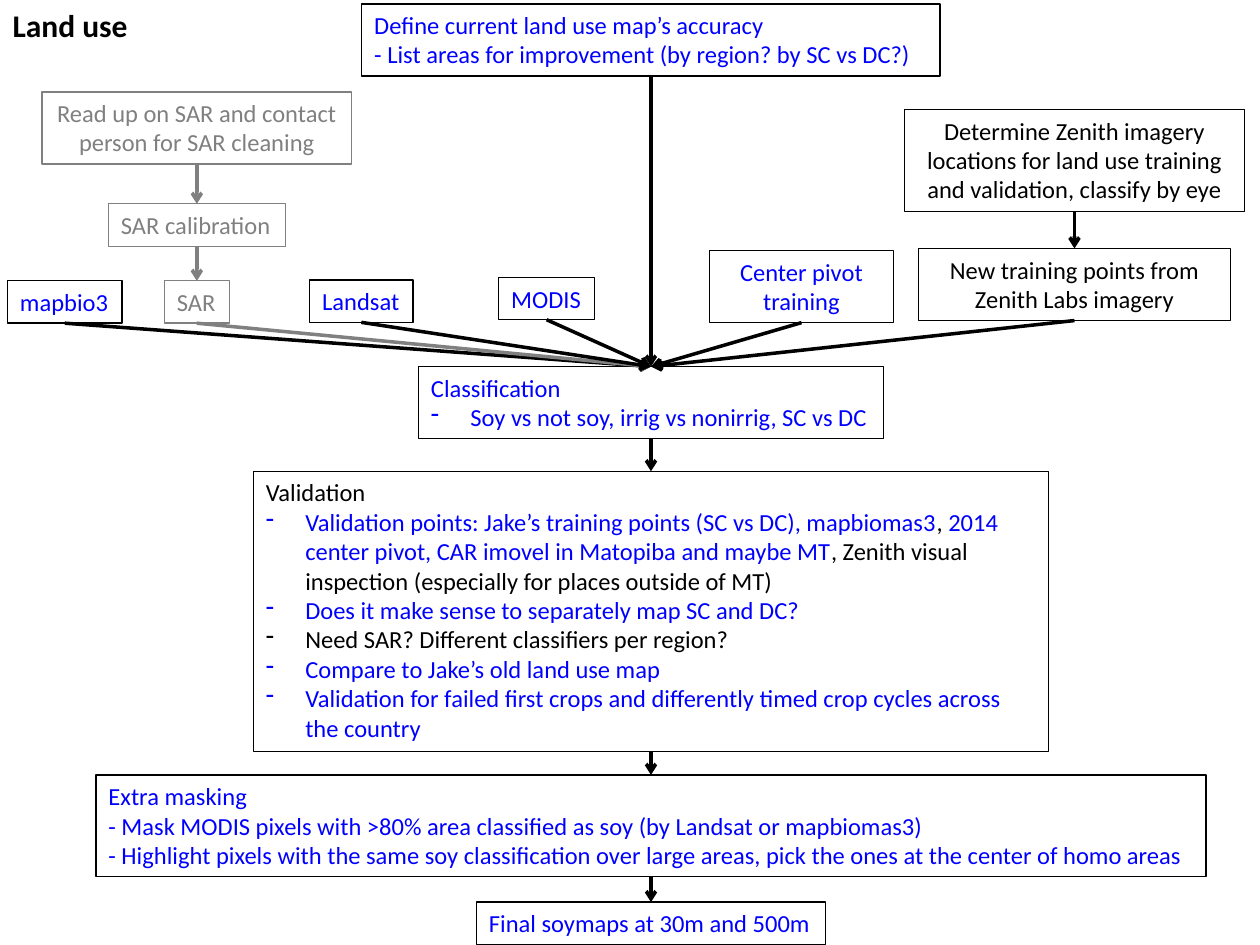
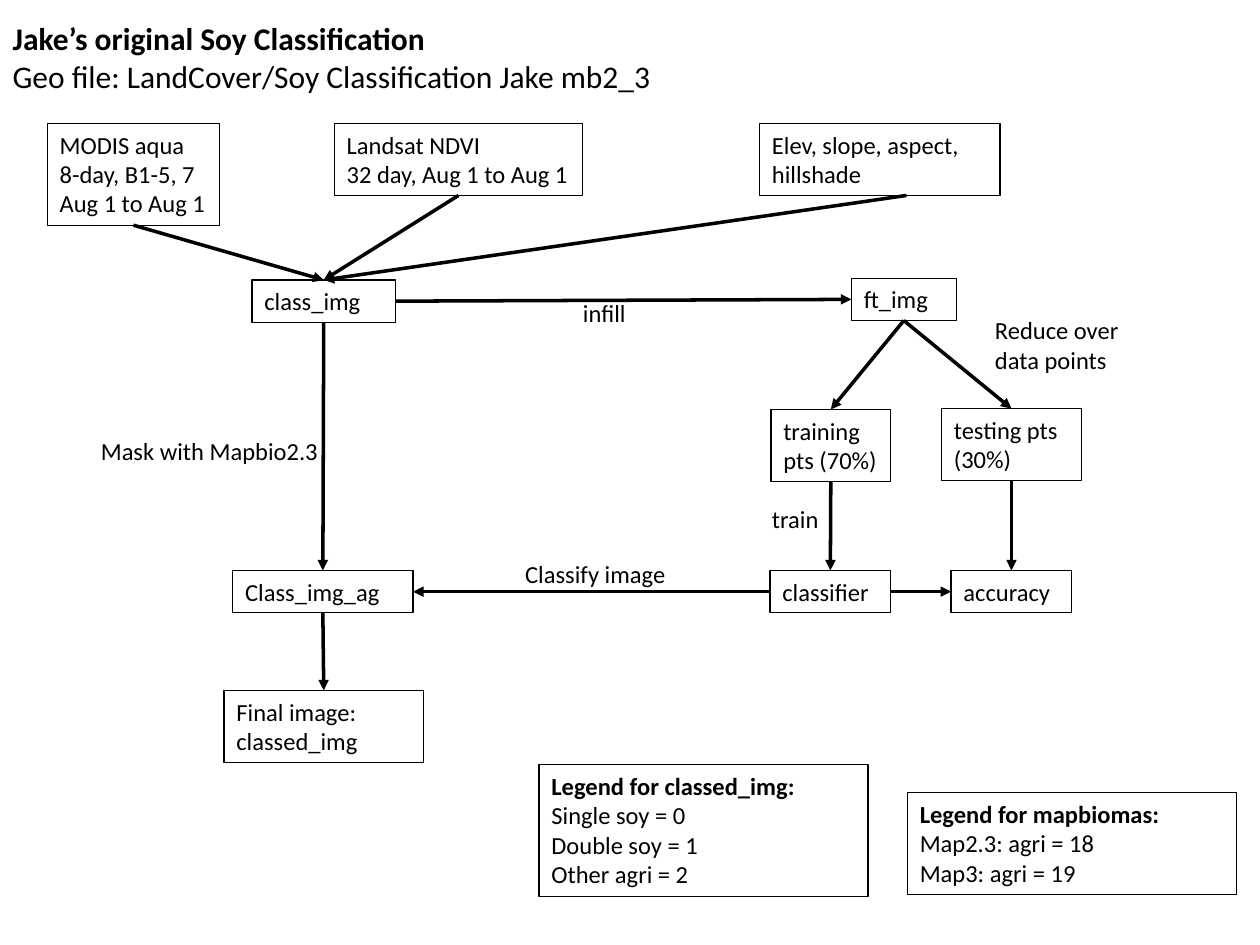
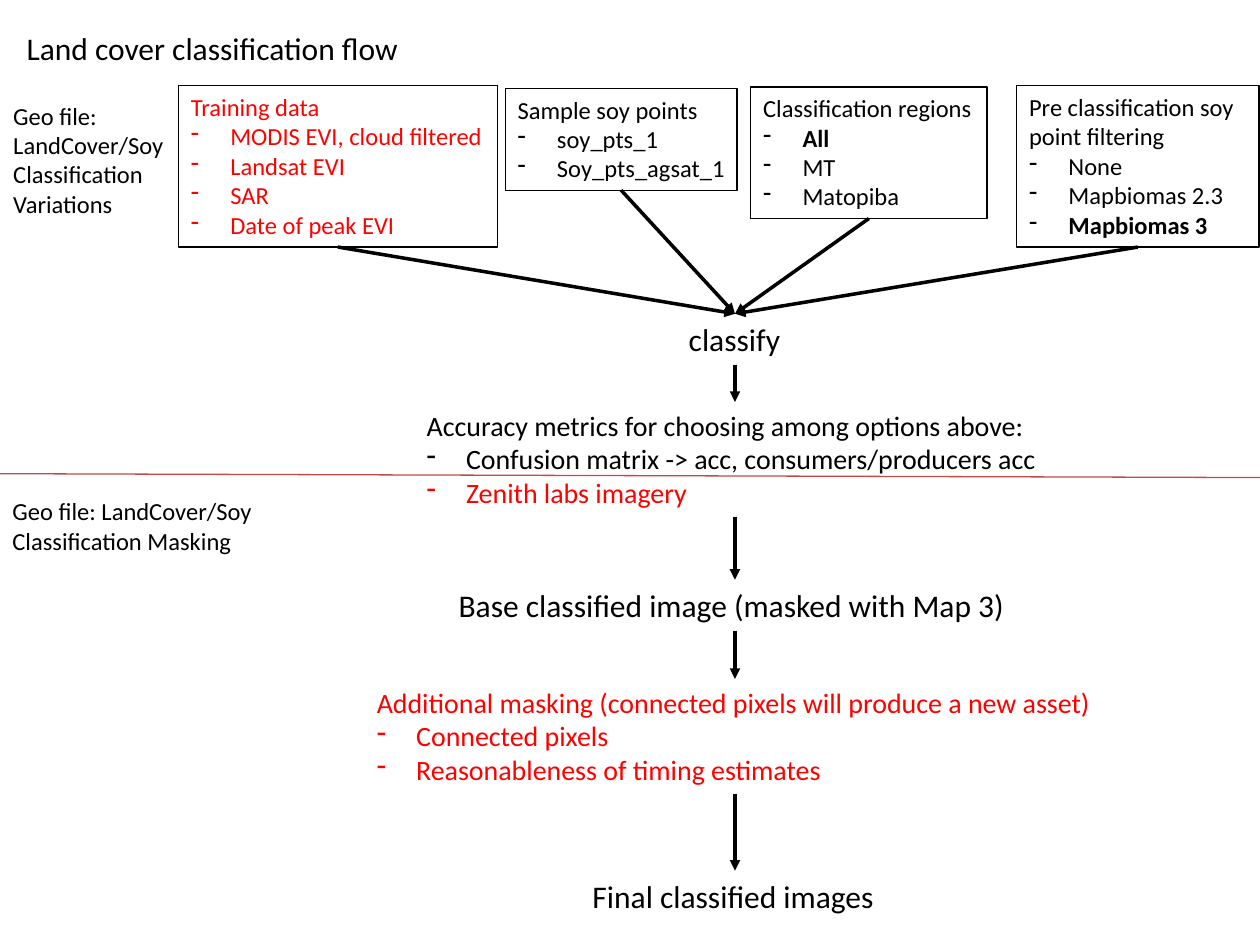
from dataclasses import dataclass

from pptx import Presentation
from pptx.dml.color import RGBColor as Rgb
from pptx.enum.shapes import MSO_CONNECTOR as Wire, MSO_SHAPE as Form
from pptx.enum.text import MSO_ANCHOR as Anchor, MSO_AUTO_SIZE as Fit, PP_ALIGN as Align
from pptx.oxml.ns import qn
from pptx.util import Pt
from lxml.etree import SubElement as Sub


@dataclass(frozen=True)
class Theme:
    font: str = "Calibri"
    ink: str = "000000"
    gray: str = "808080"
    blue: str = "0000FF"
    red: str = "FF0000"
    rule: str = "BF4C48"
    head: int = 18
    mid: int = 16
    base: int = 14
    line: float = 1.214
    pad: float = 7.2
    dent: float = 22.5
    thin: float = 0.75
    thick: float = 2


@dataclass(frozen=True)
class Box:
    left: float
    top: float
    width: float
    height: float


@dataclass(frozen=True)
class Para:
    runs: tuple
    dash: bool = False


T = Theme()
PAGE = Box(0, 0, 720, 540)
TOP, LEFT, LOW, RIGHT = range(4)


def dash(*runs):
    return Para(runs, True)


def bold(text):
    return (text, None, True)


def fill(frame, paras, tone, size, align):
    """Write paragraphs of plain or (text, colour, bold) runs."""
    for i, item in enumerate(paras):
        item = item if isinstance(item, Para) else Para((item,))
        para = frame.paragraphs[0] if i == 0 else frame.add_paragraph()
        if item.dash:
            props = para._p.get_or_add_pPr()
            props.set("marL", str(Pt(T.dent)))
            props.set("indent", str(-Pt(T.dent)))
            Sub(props, qn("a:buFontTx"))
            Sub(props, qn("a:buChar")).set("char", "-")
        para.alignment = align
        for part in item.runs:
            text, color, strong = part if isinstance(part, tuple) else (part, None, False)
            run = para.add_run()
            run.text = text
            run.font.name = T.font
            run.font.size = Pt(size)
            run.font.bold = strong
            run.font.color.rgb = Rgb.from_string(color or tone)


def setup(frame, gap):
    frame.word_wrap = True
    frame.auto_size = Fit.NONE
    frame.vertical_anchor = Anchor.TOP
    frame.margin_left, frame.margin_right = Pt(T.pad), Pt(gap)
    frame.margin_top = frame.margin_bottom = Pt(T.pad / 2)


class Pen:
    """Draws on a slide, relative to the given area."""

    def __init__(self, slide, area, head="triangle"):
        self.slide, self.area, self.head = slide, area, head

    def spot(self, x, y):
        return Pt(self.area.left + x), Pt(self.area.top + y)

    def title(self, x, y, width, paras):
        shape = self.slide.shapes.title
        shape.left, shape.top = self.spot(x, y)
        shape.width = Pt(width)
        shape.height = Pt(len(paras) * T.head * T.line + T.pad)
        setup(shape.text_frame, 0)
        fill(shape.text_frame, paras, T.ink, T.head, Align.LEFT)

    def put(self, x, y, width, paras, rows=None, tone=T.ink, size=T.base,
            frame=True, center=False, gap=0):
        high = (rows or len(paras)) * size * T.line + T.pad
        rect = (*self.spot(x, y), Pt(width), Pt(high))
        if frame:
            shape = self.slide.shapes.add_shape(Form.RECTANGLE, *rect)
            shape.shadow.inherit = False
            shape.fill.background()
            shape.line.width = Pt(T.thin)
            shape.line.color.rgb = Rgb.from_string(T.gray if tone == T.gray else T.ink)
        else:
            shape = self.slide.shapes.add_textbox(*rect)
        setup(shape.text_frame, T.pad if center else gap)
        fill(shape.text_frame, paras, tone, size, Align.CENTER if center else Align.LEFT)
        return shape

    def note(self, x, y, width, text, rows=1):
        return self.put(x, y, width, [text], rows, frame=False)

    def step(self, axis, y, width, paras, **look):
        return self.put(axis - width / 2, y, width, paras, **look)

    def line(self, start, end, tone=T.ink, width=T.thick, head=True):
        wire = self.slide.shapes.add_connector(
            Wire.STRAIGHT, *self.spot(*start), *self.spot(*end))
        wire.line.width = Pt(width)
        wire.line.color.rgb = Rgb.from_string(tone)
        if head:
            Sub(wire.line._get_or_add_ln(), qn("a:tailEnd")).set("type", self.head)
        Sub(wire._element.spPr, qn("a:effectLst"))
        return wire

    def link(self, a, b, out=LOW, into=TOP, tone=T.ink):
        wire = self.line((0, 0), (0, 0), tone)
        wire.begin_connect(a, out)
        wire.end_connect(b, into)

    def chain(self, *shapes, tone=T.ink):
        for a, b in zip(shapes, shapes[1:]):
            self.link(a, b, tone=tone)


# Land use: main column of steps
def use_steps(pen):
    steps = [
        (2.2, 330.5, ["Define current land use map’s accuracy",
                      "- List areas for improvement (by region? by SC vs DC?)"], {}),
        (209.5, 265.7, ["Classification",
                        dash("Soy vs not soy, irrig vs nonirrig, SC vs DC")], {}),
        (269.3, 454.3, [
            ("Validation", T.ink, False),
            dash("Validation points: Jake’s training points (SC vs DC), mapbiomas3",
                 (", ", T.ink, False),
                 "2014 center pivot, CAR imovel in Matopiba and maybe MT",
                 (", Zenith visual inspection (especially for places outside of MT)",
                  T.ink, False)),
            dash("Does it make sense to separately map SC and DC?"),
            dash(("Need SAR? Different classifiers per region?", T.ink, False)),
            dash("Compare to Jake’s old land use map"),
            dash("Validation for failed first crops and differently timed crop cycles "
                 "across the country"),
        ], dict(rows=9, gap=T.pad)),
        (442.8, 634.3, [
            "Extra masking",
            "- Mask MODIS pixels with >80% area classified as soy (by Landsat or mapbiomas3)",
            "- Highlight pixels with the same soy classification over large areas, "
            "pick the ones at the center of homo areas"], {}),
        (515.5, 199.4, ["Final soymaps at 30m and 500m"], {}),
    ]
    shapes = [pen.step(372, y, w, paras, tone=T.blue, **look)
              for y, w, paras, look in steps]
    pen.chain(*shapes)
    return shapes[1]


# Land use: data sources that feed the classification
def use_feeds(pen, goal):
    read = pen.step(112.5, 52.5, 177, ["Read up on SAR and contact person for SAR cleaning"],
                    rows=2, tone=T.gray, center=True)
    tune = pen.step(112.5, 116.5, 101, ["SAR calibration"], tone=T.gray)
    sar = pen.step(112.5, 160.5, 37, ["SAR"], tone=T.gray)
    look = pen.step(614, 62.5, 194, ["Determine Zenith imagery locations for land use "
                                     "training and validation, classify by eye"],
                    rows=3, center=True)
    fresh = pen.step(614, 142, 178, ["New training points from Zenith Labs imagery"],
                     rows=2, center=True)
    bio, land, modis = [pen.put(x, y, w, [name], tone=T.blue) for x, y, w, name in (
        (4.3, 160.5, 65.5, "mapbio3"), (177, 160, 59, "Landsat"), (285, 158.5, 54.7, "MODIS"))]
    pivot = pen.put(405.5, 143.2, 105, ["Center pivot training"], rows=2,
                    tone=T.blue, center=True)
    pen.chain(read, tune, sar, tone=T.gray)
    pen.chain(look, fresh)
    for feed in (bio, sar, land, modis, pivot, fresh):
        pen.link(feed, goal, tone=T.gray if feed is sar else T.ink)


def land_use(slide, area):
    pen = Pen(slide, area, "arrow")
    pen.title(0, 0, 90, [bold("Land use")])
    use_feeds(pen, use_steps(pen))


# Soy classification: boxes, links and labels
def soy_flow(pen):
    aqua = pen.put(27, 70.5, 98.5, ["MODIS aqua", "8-day, B1-5, 7", "Aug 1 to Aug 1"])
    ndvi = pen.put(191, 70.5, 142, ["Landsat NDVI", "32 day, Aug 1 to Aug 1"])
    pen.put(434, 70.5, 137.5, ["Elev, slope, aspect, hillshade"], rows=2)
    image = pen.put(144, 160, 82, ["class_img"])
    infill = pen.put(486.5, 159, 60, ["ft_img"])
    train = pen.put(440.5, 234, 68.5, ["training pts (70%)"], rows=2)
    test = pen.put(538, 233.5, 80, ["testing pts (30%)"], rows=2)
    crop, model, score = [pen.put(x, 326, w, [name]) for x, w, name in (
        (133, 103, "Class_img_ag"), (440, 69, "classifier"), (543.5, 69, "accuracy"))]
    final = pen.put(128, 394.5, 114, ["Final image: classed_img"], rows=2)

    pen.chain(aqua, image, crop, final)
    pen.chain(ndvi, image)
    pen.line((518, 111.7), (185, 160)).end_connect(image, TOP)
    pen.link(image, infill, RIGHT, LEFT)
    pen.chain(infill, train, model)
    pen.chain(infill, test, score)
    pen.link(model, score, RIGHT, LEFT)
    pen.link(model, crop, LEFT, RIGHT)

    pen.note(326, 167, 60, "infill")
    pen.note(561.5, 176.5, 100, "Reduce over data points", 2)
    pen.note(434, 284.5, 54, "train")
    pen.note(293, 316, 95, "Classify image")
    pen.note(50.5, 245.5, 140, "Mask with Mapbio2.3")


def soy_keys(pen):
    pen.put(308, 437, 188, [bold("Legend for classed_img:"), "Single soy = 0",
                            "Double soy = 1", "Other agri = 2"])
    pen.put(518.5, 453, 188, [bold("Legend for mapbiomas:"), "Map2.3: agri = 18",
                              "Map3: agri = 19"])


def soy_class(slide, area):
    pen = Pen(slide, area)
    pen.title(0, 7.2, 434, [bold("Jake’s original Soy Classification"),
                            "Geo file: LandCover/Soy Classification Jake mb2_3"])
    soy_flow(pen)
    soy_keys(pen)


# Land cover: option cards along the top
def cover_cards(pen):
    return [
        pen.put(102, 49, 182.3, ["Training data", dash("MODIS EVI, cloud filtered"),
                                 dash("Landsat EVI"), dash("SAR"),
                                 dash("Date of peak EVI")], tone=T.red),
        pen.put(288.7, 50.5, 132.5, ["Sample soy points", dash("soy_pts_1"),
                                     dash("Soy_pts_agsat_1")]),
        pen.put(429, 49.7, 135, ["Classification regions", dash(bold("All")),
                                 dash("MT"), dash("Matopiba")]),
        pen.put(581, 49, 138.5, ["Pre classification soy point filtering", dash("None"),
                                 dash("Mapbiomas 2.3"), dash(bold("Mapbiomas 3"))], rows=5),
    ]


# Land cover: unframed steps below the cards
def cover_steps(pen):
    steps = [
        (179.3, 67, T.head, T.ink, ["classify"]),
        (229.7, 366.5, T.mid, T.ink, [
            "Accuracy metrics for choosing among options above:",
            dash("Confusion matrix -> acc, consumers/producers acc"),
            dash(("Zenith labs imagery", T.red, False))]),
        (331.3, 330, T.head, T.ink, ["Base classified image (masked with Map 3)"]),
        (388, 423.5, T.mid, T.red, [
            "Additional masking (connected pixels will produce a new asset)",
            dash("Connected pixels"), dash("Reasonableness of timing estimates")]),
        (497.5, 177, T.head, T.ink, ["Final classified images"]),
    ]
    shapes = [pen.step(420, y, w, paras, size=size, tone=tone, frame=False)
              for y, w, size, tone, paras in steps]
    pen.chain(*shapes)
    return shapes[0]


def land_cover(slide, area):
    pen = Pen(slide, area)
    pen.title(8, 13, 230, ["Land cover classification flow"])
    cards = cover_cards(pen)
    goal = cover_steps(pen)
    for card in cards:
        pen.link(card, goal)
    pen.note(0.5, 54, 102, "Geo file: LandCover/Soy Classification Variations", 4)
    pen.note(0, 280, 156, "Geo file: LandCover/Soy Classification Masking", 2)
    pen.line((0, 270.7), (area.width, 272.9), T.rule, T.thin, head=False)


def main():
    deck = Presentation()
    deck.slide_width, deck.slide_height = Pt(PAGE.width), Pt(PAGE.height)
    for draw in (land_use, soy_class, land_cover):
        draw(deck.slides.add_slide(deck.slide_layouts[5]), PAGE)
    deck.save("out.pptx")


if __name__ == "__main__":
    main()
